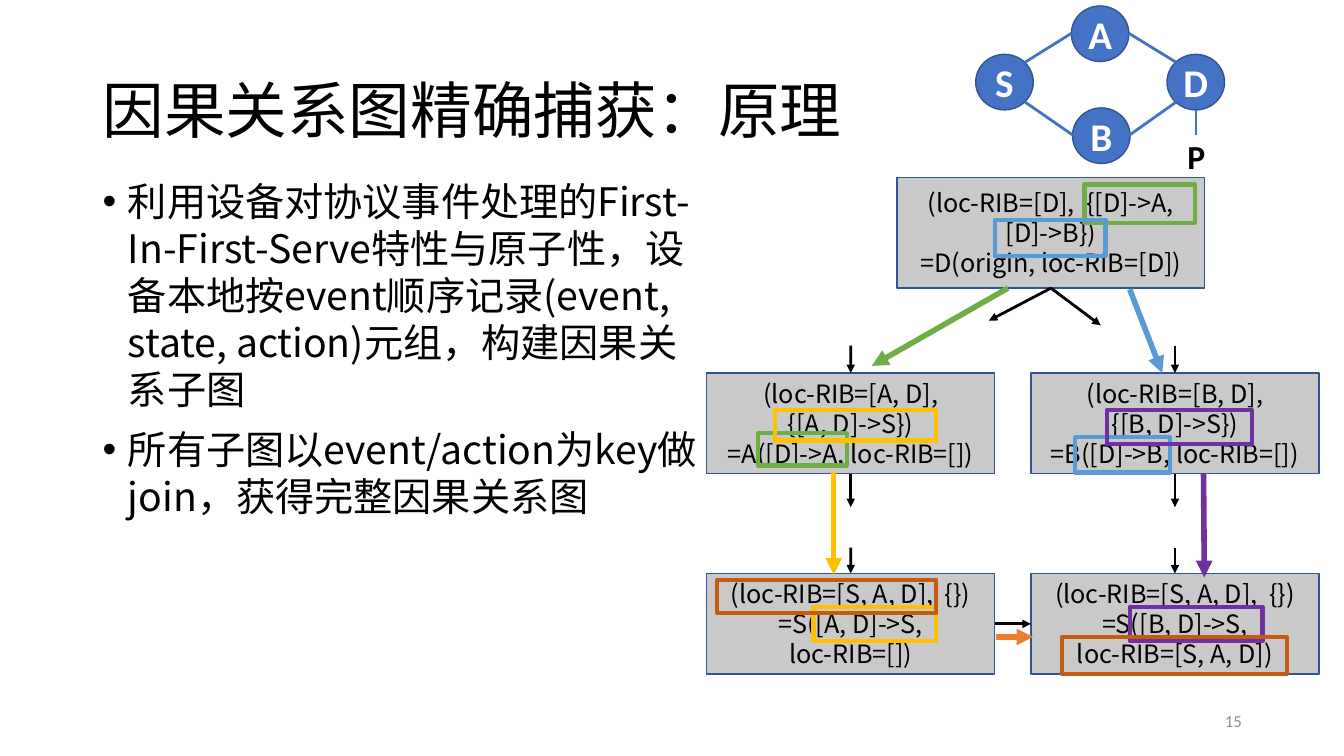
from dataclasses import dataclass

from lxml import etree
from pptx import Presentation
from pptx.dml.color import RGBColor
from pptx.enum.shapes import MSO_CONNECTOR, MSO_SHAPE
from pptx.enum.text import MSO_ANCHOR, MSO_AUTO_SIZE, PP_ALIGN
from pptx.oxml.ns import qn
from pptx.util import Cm, Pt

STRAIGHT = MSO_CONNECTOR.STRAIGHT
RECTANGLE, OVAL = MSO_SHAPE.RECTANGLE, MSO_SHAPE.OVAL
TOP, MIDDLE = MSO_ANCHOR.TOP, MSO_ANCHOR.MIDDLE
LEFT, CENTER, RIGHT = PP_ALIGN.LEFT, PP_ALIGN.CENTER, PP_ALIGN.RIGHT
NO_FIT = MSO_AUTO_SIZE.NONE
SIDE_TOP, SIDE_LEFT, SIDE_BOTTOM, SIDE_RIGHT = range(4)

CJK, LATIN = "Noto Sans CJK SC", "Calibri"
BLACK, WHITE, BLUE, NAVY, GRAY = "000000", "FFFFFF", "4472C4", "325491", "C9C9C9"

STATE_WIDTH, STATE_HEIGHT = 7.26, 2.54
LEFT_COLUMN, RIGHT_COLUMN = 17.81, 25.98
MIDDLE_ROW, BOTTOM_ROW = 9.4, 14.45
NODE_WIDTH, NODE_HEIGHT = 1.45, 1.4


@dataclass
class Area:
    left: float
    top: float
    width: float
    height: float

    def lengths(self):
        return Cm(self.left), Cm(self.top), Cm(self.width), Cm(self.height)

    @property
    def middle(self) -> float:
        return self.left + self.width / 2

    @property
    def bottom(self) -> float:
        return self.top + self.height


@dataclass
class State:
    area: Area
    lines: list[str]


@dataclass
class Line:
    start: tuple[float, float]
    end: tuple[float, float]


@dataclass
class Match:
    color: str
    arrow_color: str
    areas: tuple[Area, Area]
    arrow: Line


STATES = {
    "D": State(Area(22.61, 4.47, 7.75, 2.79),
               ["(loc-RIB=[D],  {[D]->A, [D]->B})", "=D(origin, loc-RIB=[D])"]),
    "A": State(Area(LEFT_COLUMN, MIDDLE_ROW, STATE_WIDTH, STATE_HEIGHT),
               ["(loc-RIB=[A, D],", "{[A, D]->S})", "=A([D]->A, loc-RIB=[])"]),
    "B": State(Area(RIGHT_COLUMN, MIDDLE_ROW, STATE_WIDTH, STATE_HEIGHT),
               ["(loc-RIB=[B, D],", "{[B, D]->S})", "=B([D]->B, loc-RIB=[])"]),
    "SA": State(Area(LEFT_COLUMN, BOTTOM_ROW, STATE_WIDTH, STATE_HEIGHT),
                ["(loc-RIB=[S, A, D],  {})", "=S([A, D]->S,", "loc-RIB=[])"]),
    "SB": State(Area(RIGHT_COLUMN, BOTTOM_ROW, STATE_WIDTH, STATE_HEIGHT),
                ["(loc-RIB=[S, A, D],  {}) =S([B, D]->S,", "loc-RIB=[S, A, D])"]),
}
NODES = {"S": (24.59, 1.37), "A": (27, 0.15), "B": (27.03, 2.72), "D": (29.41, 1.37)}
LINKS = [
    Line((28.45, 0.84), (29.64, 1.57)),
    Line((28.47, 3.4), (29.64, 2.57)),
    Line((25.83, 1.57), (27, 0.84)),
    Line((25.83, 2.57), (27.03, 3.4)),
    Line((30.14, 2.77), (30.14, 3.4)),
]
MATCHES = [
    Match("70AD47", "70AD47",
          (Area(27.33, 4.65, 2.79, 0.97), Area(19.1, 10.92, 2.24, 0.81)),
          Line((25.4, 7.26), (21.97, 9.22))),
    Match("5B9BD5", "5B9BD5",
          (Area(25.07, 5.54, 2.79, 0.91), Area(27.1, 11.02, 2.39, 0.89)),
          Line((28.47, 7.29), (29.29, 9.4))),
    Match("FFC000", "FFC000",
          (Area(19.53, 10.34, 4.06, 0.76), Area(20.5, 15.29, 3.1, 0.86)),
          Line((21.01, 11.89), (21.01, 14.48))),
    Match("7030A0", "7030A0",
          (Area(27.89, 10.34, 3.66, 0.86), Area(28.47, 15.29, 3.35, 0.86)),
          Line((30.33, 11.94), (30.35, 14.55))),
    Match("C55A11", "ED7D31",
          (Area(18.08, 14.61, 5.51, 0.84), Area(26.77, 16.05, 5.66, 0.94)),
          Line((25.1, 16.05), (26.04, 16.05))),
]


def rgb(color: str) -> RGBColor:
    return RGBColor.from_string(color)


def apply(target, values: dict) -> None:
    for name, value in values.items():
        setattr(target, name, value)


def write(shape, lines: list[str], size: float, color: str = BLACK, font: str = CJK,
          bold: bool = False, frame: dict | None = None, layout: dict | None = None,
          gap: float = 0, bullet: bool = False) -> None:
    text = shape.text_frame
    apply(text, {"word_wrap": True, "auto_size": NO_FIT, "vertical_anchor": MIDDLE,
                 **(frame or {})})
    for index, line in enumerate(lines):
        para = text.paragraphs[0] if index == 0 else text.add_paragraph()
        apply(para, {"alignment": CENTER, "space_before": Pt(gap if index else 0),
                     **(layout or {})})
        if bullet:
            properties = para._p.get_or_add_pPr()
            properties.set("marL", str(Cm(0.64)))
            properties.set("indent", str(-Cm(0.64)))
            etree.SubElement(properties, qn("a:buFont"), typeface="Arial")
            etree.SubElement(properties, qn("a:buChar"), char="•")
        span = para.add_run()
        span.text = line
        apply(span.font, {"size": Pt(size), "bold": bold, "name": font})
        span.font.color.rgb = rgb(color)
        etree.SubElement(span._r.get_or_add_rPr(), qn("a:ea"), typeface=font)


def add_box(page, kind, area: Area, line: str, width: float, fill: str | None = None):
    box = page.shapes.add_shape(kind, *area.lengths())
    box.shadow.inherit = False
    if fill:
        box.fill.solid()
        box.fill.fore_color.rgb = rgb(fill)
    else:
        box.fill.background()
    box.line.color.rgb = rgb(line)
    box.line.width = Pt(width)
    return box


def add_line(page, line: Line, color: str, width: float, arrow: bool = True):
    connector = page.shapes.add_connector(
        STRAIGHT, *(Cm(value) for value in line.start + line.end))
    connector.line.color.rgb = rgb(color)
    connector.line.width = Pt(width)
    if arrow:
        etree.SubElement(connector.line._get_or_add_ln(), qn("a:tailEnd"), type="triangle")
    etree.SubElement(connector._element.spPr, qn("a:effectLst"))
    return connector


def place(shape, area: Area) -> None:
    apply(shape, dict(zip(("left", "top", "width", "height"), area.lengths())))


def draw_text(page) -> None:
    title, body = page.shapes.title, page.placeholders[1]
    place(title, Area(2.33, 1.01, 29.21, 3.68))
    write(title, ["因果关系图精确捕获：原理"], 44,
          layout={"alignment": LEFT, "line_spacing": 0.9})
    place(body, Area(2.33, 4.22, 15.6, 12.09))
    write(body, [
        "利用设备对协议事件处理的First-In-First-Serve特性与原子性，设备本地按event顺序记录"
        "(event, state, action)元组，构建因果关系子图",
        "所有子图以event/action为key做join，获得完整因果关系图",
    ], 28, frame={"vertical_anchor": TOP, "margin_top": Cm(0.25)},
        layout={"alignment": LEFT, "line_spacing": Pt(33.5)}, gap=10, bullet=True)
    number = page.shapes.add_textbox(*Area(23.93, 17.65, 7.62, 1.02).lengths())
    write(number, ["15"], 12, "8C8C8C", LATIN, layout={"alignment": RIGHT})


def draw_network(page) -> None:
    tight = dict.fromkeys(("margin_left", "margin_right", "margin_top", "margin_bottom"), 0)
    for name, (left, top) in NODES.items():
        node = add_box(page, OVAL, Area(left, top, NODE_WIDTH, NODE_HEIGHT), NAVY, 1, BLUE)
        write(node, [name], 28, WHITE, LATIN, True, tight)
    for link in LINKS:
        add_line(page, link, BLUE, 2, arrow=False)
    prefix = page.shapes.add_textbox(*Area(29.72, 3.4, 0.86, 1.05).lengths())
    write(prefix, ["P"], 24, BLACK, LATIN, True, tight)


def draw_states(page) -> None:
    boxes = {}
    for name, state in STATES.items():
        boxes[name] = add_box(page, RECTANGLE, state.area, NAVY, 1, GRAY)
        write(boxes[name], state.lines, 18, layout={"line_spacing": Pt(21.5)})
    for name, ends in {"D": [(24.92, 8.08), (27.74, 8.2)],
                       "A": [(21.44, 12.78)], "B": [(29.61, 12.78)]}.items():
        area = STATES[name].area
        for end in ends:
            arrow = add_line(page, Line((area.middle, area.bottom), end), BLACK, 2)
            arrow.begin_connect(boxes[name], SIDE_BOTTOM)
    for name, start in {"A": 8.71, "B": 8.71, "SA": 13.8, "SB": 13.8}.items():
        area = STATES[name].area
        arrow = add_line(page, Line((area.middle, start), (area.middle, area.top)), BLACK, 2)
        arrow.end_connect(boxes[name], SIDE_TOP)
    across = add_line(page, Line((25.07, 15.72), (RIGHT_COLUMN, 15.72)), BLACK, 2)
    across.begin_connect(boxes["SA"], SIDE_RIGHT)
    across.end_connect(boxes["SB"], SIDE_LEFT)


def draw_matches(page) -> None:
    for match in MATCHES:
        for area in match.areas:
            add_box(page, RECTANGLE, area, match.color, 3)
        add_line(page, match.arrow, match.arrow_color, 4)


def main() -> None:
    deck = Presentation()
    apply(deck, {"slide_width": Cm(33.87), "slide_height": Cm(19.05)})
    page = deck.slides.add_slide(deck.slide_layouts[1])
    for draw in (draw_text, draw_network, draw_states, draw_matches):
        draw(page)
    deck.save("out.pptx")


if __name__ == "__main__":
    main()
